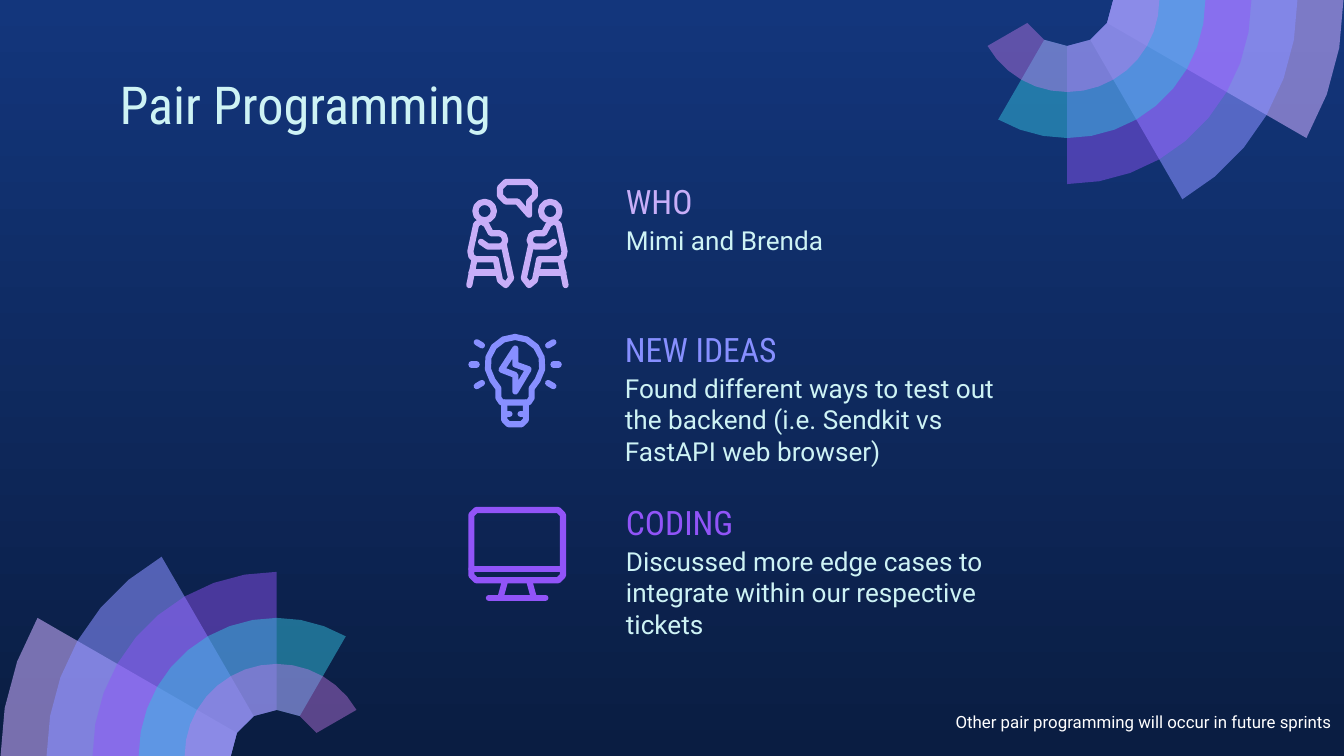
from math import cos, radians, sin

from lxml import etree
from pptx import Presentation
from pptx import util as u
from pptx.dml.color import RGBColor
from pptx.enum import text as t
from pptx.oxml.ns import qn

THEME = {
    "top": "13367C", "bottom": "0A1D42", "pale": "CEF3F5", "white": "FFFFFF",
    "lilac": "C8AEF8", "blue": "878FFF", "violet": "9154F8",
    "heading_font": "Roboto Condensed", "body_font": "Roboto",
    "title_size": 28, "heading_size": 18, "body_size": 14, "note_size": 9,
    "stroke": 3.3,
}

TITLE = "Pair Programming"
NOTE = "Other pair programming will occur in future sprints"
# heading, body, colour, left, top, body width, body height (cm)
TOPICS = [
    ("WHO", "Mimi and Brenda", "lilac", 11.58, 3.25, 6.43, 0.84),
    ("NEW IDEAS", "Found different ways to test out the backend "
     "(i.e. Sendkit vs FastAPI web browser)", "blue", 11.56, 6.05, 7.7, 1.6),
    ("CODING", "Discussed more edge cases to integrate within our respective "
     "tickets", "violet", 11.58, 9.32, 7.67, 0.84),
]

# Fan: one ring step, then outer radius in steps, sweep, colour, opacity
RING = 0.87
SECTORS = [(6, 30, "C8ACFD", 58), (5, 60, "878FFF", 58), (4, 90, "9154F8", 46),
           (3, 120, "35C2DF", 49), (2, 150, "CA7BEB", 42)]
FANS = [((5.23, 14.29), 180), ((20.17, 0), 0)]  # centre, first angle


def arc(centre, radius, start, end, step):
    """Points on a circle; angles run clockwise from the right."""
    direction = step if end > start else -step
    return [(centre[0] + radius * cos(radians(a)),
             centre[1] + radius * sin(radians(a)))
            for a in range(start, end + direction, direction)]


# Icon strokes are (points, closed) in millimetres from the icon's corner
HEAD = (arc((3.5, 6.1), 1.75, 0, 330, 30), True)
BODY = ([(2.8, 11.9), (4.1, 12.8), (6.4, 12.8), (7.1, 12.4), (7.4, 11.6),
         (7.1, 10.7), (6.4, 10.3), (4.7, 10.3), (3.8, 8.6), (2.8, 8),
         (1.9, 8.6), (0.8, 13.7), (1, 14.7), (1.8, 15.2), (5.6, 15.2),
         (6.4, 19.2), (7.5, 20.1), (8.5, 18.8), (7.1, 12.4)], False)
CHAIR_LEG = ([(1.6, 15.2), (0.6, 20.1)], False)
CHAIR_SEAT = ([(1, 17.7), (5.9, 17.7)], False)
BUBBLE = ([(9.7, 4.3), (7.5, 4.3), (6.4, 3.2), (6.4, 1.7), (7.5, 0.6),
           (11.9, 0.6), (13, 1.7), (13, 3.2), (11.9, 4.3), (11.9, 6.8)], True)
GLASS = (arc((8.75, 5.7), 5.2, 145, 395, 25)
         + [(11.9, 10.2), (11.9, 12), (11.3, 12.9), (6.2, 12.9), (5.6, 12),
            (5.6, 10.2)], True)
BASE = ([(6.7, 12.9), (6.7, 16.2), (7.5, 17), (10, 17), (10.8, 16.2),
         (10.8, 12.9)], False)
THREADS = [([(6.7, 15), (7.7, 15)], False), ([(9.8, 15), (10.8, 15)], False)]
BOLT = ([(8.8, 2.7), (6.2, 6.7), (8.8, 7.7), (8.8, 10.8), (11.3, 6.6),
         (8.8, 5.7)], True)
RAYS = [[([(0.5, 5.7), (1.5, 5.7)], False)],
        [([(1.5, 1.5), (2.5, 2.1)], False)],
        [([(1.5, 9.8), (2.5, 9.2)], False)]]
SCREEN = ([(1.4, 0.6), (16.9, 0.6), (17.8, 1.5), (17.8, 13), (16.9, 13.9),
           (1.4, 13.9), (0.5, 13), (0.5, 1.5)], True)
STAND = [([(0.5, 11.7), (17.8, 11.7)], False), ([(6.9, 13.9), (6, 17.2)], False),
         ([(11.4, 13.9), (12.3, 17.2)], False), ([(3.8, 17.2), (14.5, 17.2)], False)]

# Each icon: corner (cm), width (mm), colour, single parts, mirrored parts
ICONS = [
    ((8.81, 3.38), 19.4, "lilac", [[BUBBLE]],
     [[HEAD, BODY, CHAIR_LEG, CHAIR_SEAT]]),
    ((8.86, 6.32), 17.5, "blue", [[GLASS, BASE, *THREADS], [BOLT]], RAYS),
    ((8.86, 9.58), 18.3, "violet", [[SCREEN, *STAND]], []),
]


def rgb(name):
    return RGBColor.from_string(THEME.get(name, name))


def add_outline(shapes, strokes):
    """One freeform from (points in cm, closed) strokes."""
    strokes = [([(u.Cm(x), u.Cm(y)) for x, y in points], closed)
               for points, closed in strokes]
    builder = shapes.build_freeform(*strokes[0][0][0], scale=1.0)
    for number, (points, closed) in enumerate(strokes):
        if number:
            builder.move_to(*points[0])
        builder.add_line_segments(points[1:], close=closed)
    shape = builder.convert_to_shape()
    shape.shadow.inherit = False
    return shape


def add_fan(slide, centre, first_angle):
    for steps, sweep, colour, opacity in SECTORS:
        last_angle = first_angle + sweep
        points = (arc(centre, steps * RING, first_angle, last_angle, 10)
                  + arc(centre, RING, last_angle, first_angle, 30))
        shape = add_outline(slide.shapes, [(points, True)])
        shape.line.fill.background()
        shape.fill.solid()
        shape.fill.fore_color.rgb = rgb(colour)
        for element in shape.fill._xPr.iter(qn("a:srgbClr")):
            etree.SubElement(element, qn("a:alpha"), val=str(opacity * 1000))


def add_icon(slide, corner, width, colour, single, mirrored):
    flipped = [[([(width - x, y) for x, y in points], closed)
                for points, closed in part] for part in mirrored]
    for part in single + mirrored + flipped:
        strokes = [([(corner[0] + x / 10, corner[1] + y / 10) for x, y in points],
                    closed) for points, closed in part]
        shape = add_outline(slide.shapes, strokes)
        shape.fill.background()
        shape.line.color.rgb = rgb(colour)
        shape.line.width = u.Pt(THEME["stroke"])
        line = shape.line._get_or_add_ln()
        line.set("cap", "rnd")
        etree.SubElement(line, qn("a:round"))


def add_text(slide, words, box, role, colour, font="body_font",
             anchor=t.MSO_ANCHOR.TOP, align=t.PP_ALIGN.LEFT):
    frame = slide.shapes.add_textbox(*map(u.Cm, box)).text_frame
    frame_format = {"word_wrap": True, "vertical_anchor": anchor}
    frame_format.update({f"margin_{side}": u.Cm(0.25)
                         for side in ("left", "top", "right", "bottom")})
    for name, value in frame_format.items():
        setattr(frame, name, value)
    paragraph = frame.paragraphs[0]
    paragraph.alignment = align
    run = paragraph.add_run()
    run.text = words
    for name, value in {"name": THEME[font], "size": u.Pt(THEME[role])}.items():
        setattr(run.font, name, value)
    run.font.color.rgb = rgb(colour)


def paint_background(slide):
    fill = slide.background.fill
    fill.gradient()
    fill.gradient_angle = 270
    for stop, position, colour in zip(fill.gradient_stops, (0, 1), ("top", "bottom")):
        stop.position = position
        stop.color.rgb = rgb(colour)


def main():
    presentation = Presentation()
    presentation.slide_width = u.Cm(25.4)
    presentation.slide_height = u.Cm(14.29)
    slide = presentation.slides.add_slide(presentation.slide_layouts[6])
    paint_background(slide)
    for fan in FANS:
        add_fan(slide, *fan)
    add_text(slide, TITLE, (2.01, 1.12, 21.41, 1.6), "title_size", "pale",
             "heading_font")
    for heading, body, colour, left, top, width, height in TOPICS:
        add_text(slide, heading, (left, top, 6.43, 1.09), "heading_size", colour,
                 "heading_font", t.MSO_ANCHOR.MIDDLE)
        add_text(slide, body, (left, top + 0.74, width, height), "body_size", "pale")
    for icon in ICONS:
        add_icon(slide, *icon)
    add_text(slide, NOTE, (10.36, 13.26, 15.04, 0.89), "note_size", "white",
             align=t.PP_ALIGN.RIGHT)
    presentation.save("out.pptx")


if __name__ == "__main__":
    main()
